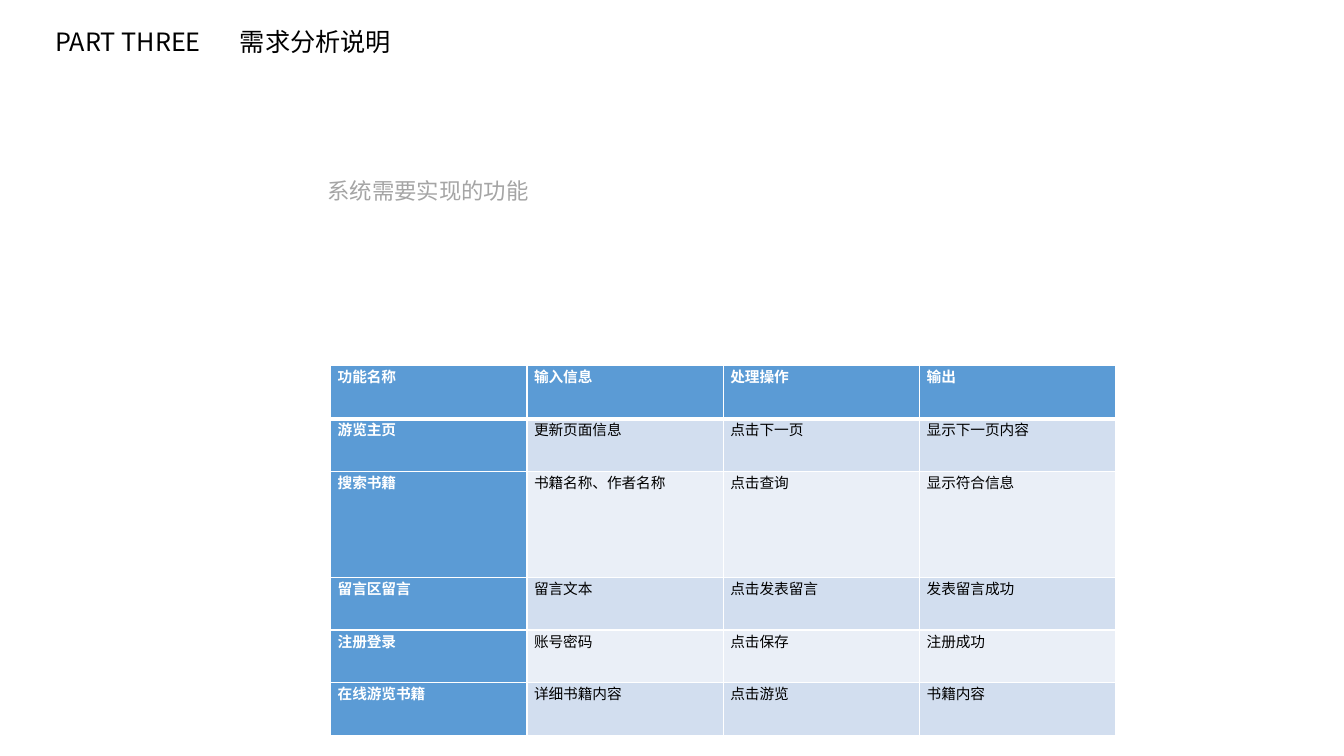
import pptx
import pptx.util
import pptx.dml.color
import pptx.enum.text
import pptx.oxml
import lxml.etree

Inches, Pt = pptx.util.Inches, pptx.util.Pt

TITLE = "PART THREE\t需求分析说明"
SUBTITLE = "系统需要实现的功能"
ROWS = [
    ("功能名称", "输入信息", "处理操作", "输出"),
    ("游览主页", "更新页面信息", "点击下一页", "显示下一页内容"),
    ("搜索书籍", "书籍名称、作者名称", "点击查询", "显示符合信息"),
    ("留言区留言", "留言文本", "点击发表留言", "发表留言成功"),
    ("注册登录", "账号密码", "点击保存", "注册成功"),
    ("在线游览书籍", "详细书籍内容", "点击游览", "书籍内容"),
]
ROW_UNITS = [1, 1, 2, 1, 1, 1]
TABLE_BOX = (3.28, 3.63, 7.79, 3.67)
COLORS = {"black": "000000", "grey": "A5A5A5", "white": "FFFFFF",
          "blue": "5B9BD5", "dark_band": "D2DEEF", "light_band": "EAEFF7"}
FONT = "Noto Sans CJK SC"
TABLE_FONT = "Arial"


def rgb(name):
    return pptx.dml.color.RGBColor.from_string(COLORS[name])


def add_run(p, text, size, font, color, bold=False):
    r = p.add_run()
    r.text = text
    r.font.size, r.font.name, r.font.bold = Pt(size), font, bold
    r.font.color.rgb = rgb(color)
    return r


def add_text(s, box, text, size, color):
    tf = s.shapes.add_textbox(*map(Inches, box)).text_frame
    tf.word_wrap = True
    p = tf.paragraphs[0]
    r = add_run(p, text, size, FONT, color)
    ea = lxml.etree.SubElement(r.font._element, pptx.oxml.ns.qn("a:ea"))
    ea.set("typeface", FONT)
    return tf, p


def add_tab_stop(p, position):
    qn = pptx.oxml.ns.qn
    tabs = lxml.etree.SubElement(p._p.get_or_add_pPr(), qn("a:tabLst"))
    tab = lxml.etree.SubElement(tabs, qn("a:tab"))
    tab.set("pos", str(Inches(position)))
    tab.set("algn", "l")


def set_borders(cell, widths):
    qn = pptx.oxml.ns.qn
    tcPr = cell._tc.get_or_add_tcPr()
    for i, (side, width) in enumerate(widths.items()):
        ln = lxml.etree.Element(qn("a:ln" + side), w=str(Pt(width)))
        fill = lxml.etree.SubElement(ln, qn("a:solidFill"))
        lxml.etree.SubElement(fill, qn("a:srgbClr"), val=COLORS["white"])
        tcPr.insert(i, ln)


def add_function_table(s):
    left, top, width, height = map(Inches, TABLE_BOX)
    table = s.shapes.add_table(len(ROWS), len(ROWS[0]), left, top, width, height).table
    for column in table.columns:
        column.width = width // len(ROWS[0])
    for row, units in zip(table.rows, ROW_UNITS):
        row.height = height * units // sum(ROW_UNITS)
    for i, texts in enumerate(ROWS):
        band = "dark_band" if i % 2 else "light_band"
        for j, text in enumerate(texts):
            heading = i == 0 or j == 0
            cell = table.cell(i, j)
            cell.margin_left = cell.margin_right = Inches(0.07)
            cell.margin_top = cell.margin_bottom = 0
            cell.fill.solid()
            cell.fill.fore_color.rgb = rgb("blue" if heading else band)
            set_borders(cell, {"L": 1, "R": 1, "T": 3 if i == 1 else 1, "B": 3 if i == 0 else 1})
            p = cell.text_frame.paragraphs[0]
            p.alignment = pptx.enum.text.PP_ALIGN.JUSTIFY
            add_run(p, text, 10.5, TABLE_FONT, "white" if heading else "black", heading)


def main():
    """Build the requirements analysis slide."""
    prs = pptx.Presentation()
    prs.slide_width, prs.slide_height = Inches(13.33), Inches(7.5)
    s = prs.slides.add_slide(prs.slide_layouts[6])
    tf, p = add_text(s, (0.39, 0.21, 3.67, 0.4), TITLE, 18, "black")
    tf.margin_left = Inches(0.16)
    add_tab_stop(p, 1.83)
    tf, p = add_text(s, (3.15, 1.63, 7.04, 0.42), SUBTITLE, 16, "grey")
    p.line_spacing = 1.3
    add_function_table(s)
    prs.save("out.pptx")


if __name__ == "__main__":
    main()
